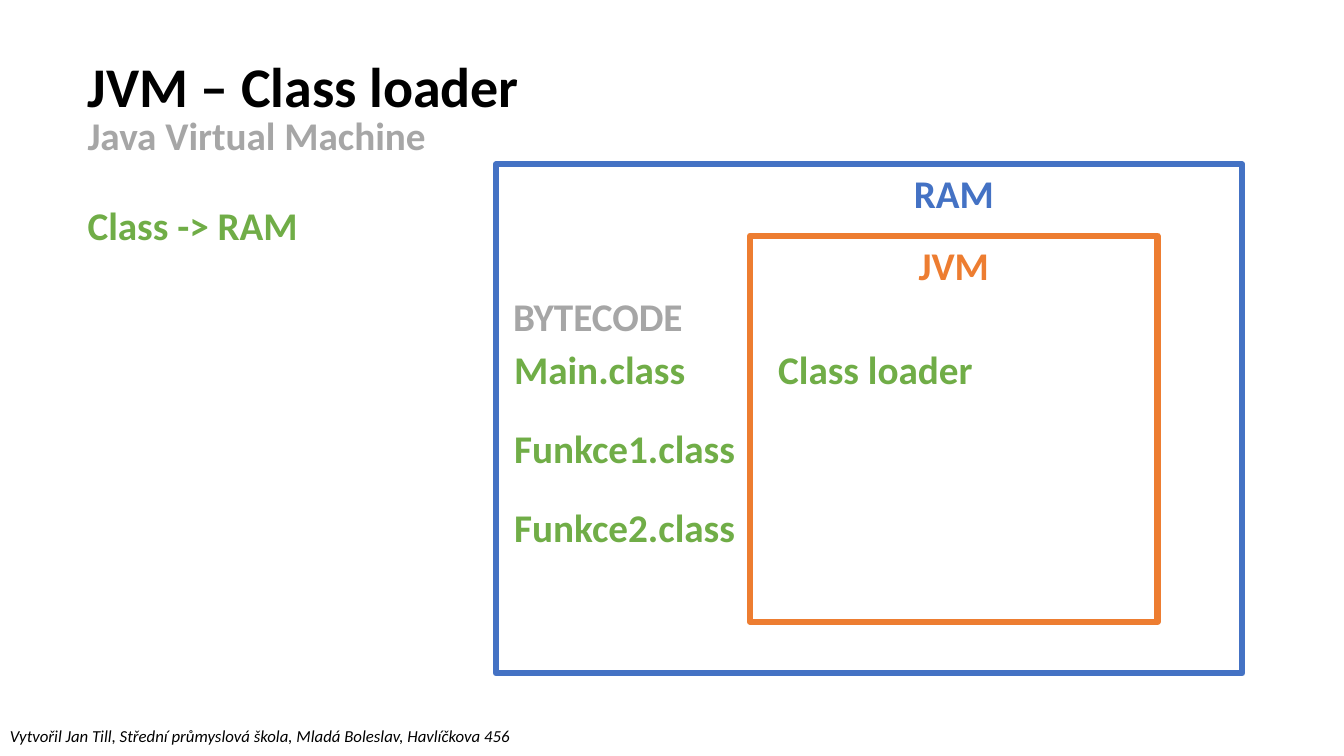
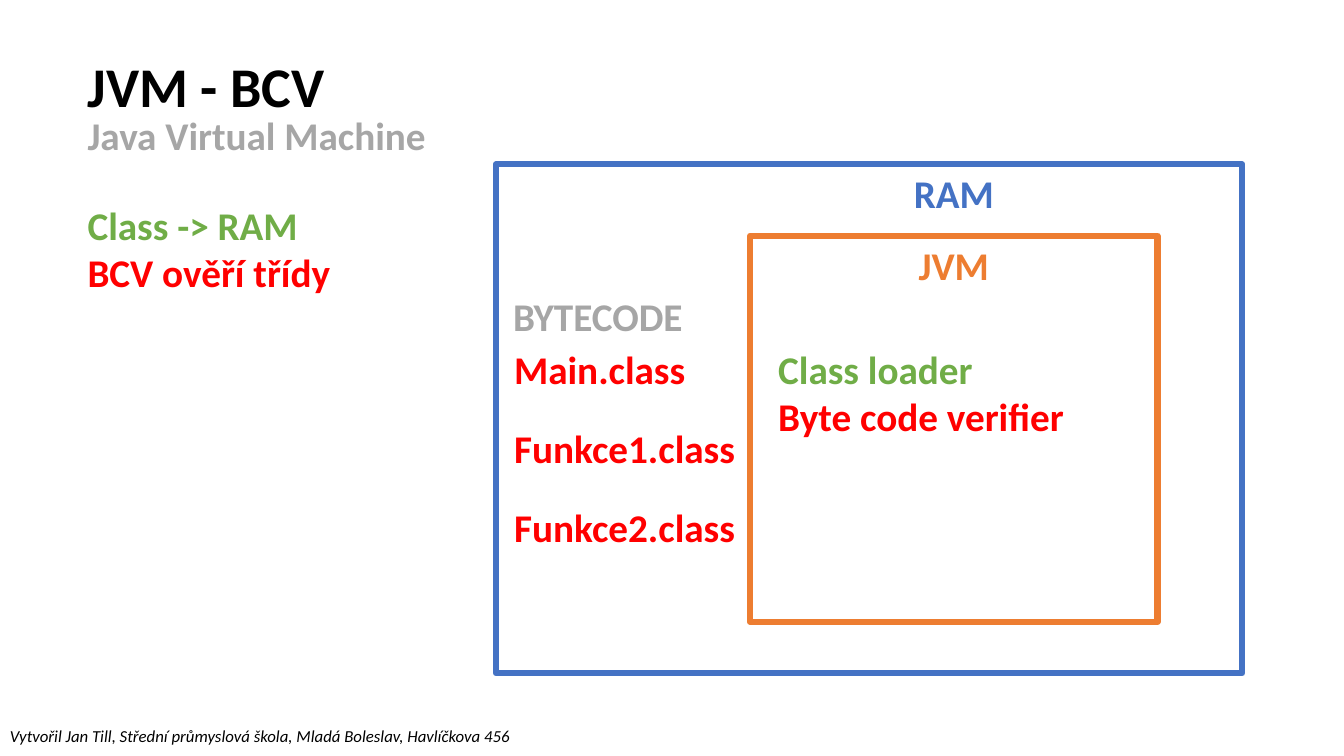
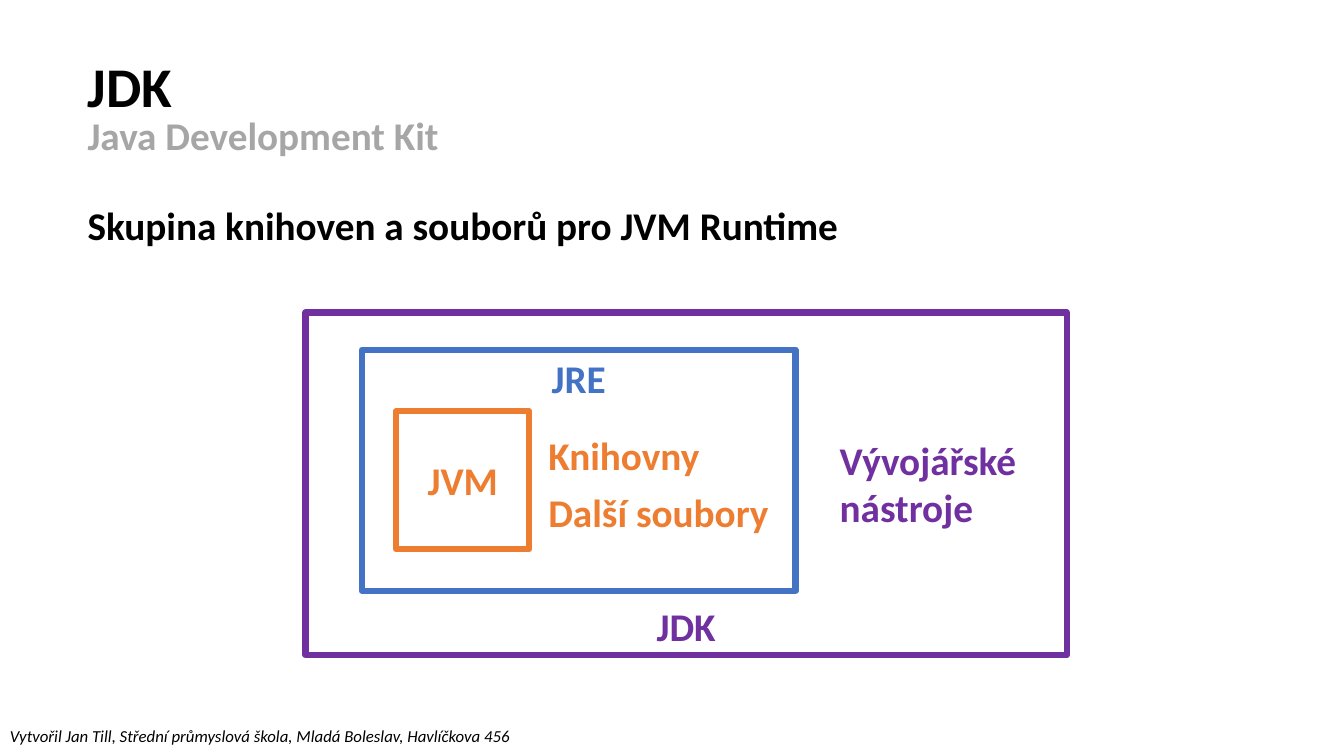
from dataclasses import dataclass

from pptx import Presentation
from pptx.dml.color import RGBColor
from pptx.enum.shapes import MSO_SHAPE
from pptx.enum.text import MSO_AUTO_SIZE, PP_ALIGN
from pptx.util import Inches, Pt


@dataclass(frozen=True)
class Theme:
    font: str = "Calibri"
    black: str = "000000"
    gray: str = "A6A6A6"
    green: str = "70AD47"
    red: str = "FF0000"
    orange: str = "ED7D31"
    blue: str = "4472C4"
    purple: str = "7030A0"
    title_size: int = 40
    body_size: int = 28
    footer_size: int = 12
    border: float = 4.5


THEME = Theme()
FOOTER = "Vytvořil Jan Till, Střední průmyslová škola, Mladá Boleslav, Havlíčkova 456"
CELL = 0.1  # inches per grid column and row
MARGIN = 7.7
LINE_HEIGHT = 5.7
CAPTION_WIDTH = 10


def grid(*cells):
    return [Inches(cell * CELL) for cell in cells]


def apply_format(target, values):
    for name, value in values.items():
        setattr(target, name, value)


class Deck:
    """Holds the presentation, the theme and the slide being filled."""

    def __init__(self, theme):
        self.theme = theme
        self.presentation = Presentation()
        size = {"slide_width": Inches(13.33), "slide_height": Inches(7.5)}
        apply_format(self.presentation, size)
        self.slide = None

    def new_slide(self, title, subtitle):
        theme = self.theme
        layout = self.presentation.slide_layouts[6]
        self.slide = self.presentation.slides.add_slide(layout)
        self.text([(title, theme.black)], MARGIN, 4.6, 45.3, size=theme.title_size)
        self.text([(subtitle, theme.gray)], MARGIN, 10.6, 38)
        self.text([(FOOTER, theme.black)], 0, 71.5, 53,
                  size=theme.footer_size, bold=False, italic=True)

    def text(self, lines, left, top, width, size=None, align=PP_ALIGN.LEFT,
             bold=True, italic=False):
        """Add one paragraph for each (text, colour) pair."""
        size = size or self.theme.body_size
        height = LINE_HEIGHT * len(lines) * size / self.theme.body_size
        box = self.slide.shapes.add_textbox(*grid(left, top, width, height))
        frame = box.text_frame
        apply_format(frame, {"word_wrap": True,
                             "auto_size": MSO_AUTO_SIZE.SHAPE_TO_FIT_TEXT})
        font_format = {"name": self.theme.font, "size": Pt(size),
                       "bold": bold, "italic": italic}
        for index, (words, color) in enumerate(lines):
            paragraph = frame.add_paragraph() if index else frame.paragraphs[0]
            paragraph.alignment = align
            run = paragraph.add_run()
            run.text = words
            apply_format(run.font, font_format)
            run.font.color.rgb = RGBColor.from_string(color)

    def frame(self, caption, color, left, top, width, height, drop=0, center=None):
        """Add an outlined box; drop places its caption from top (0) to bottom (1)."""
        shape = self.slide.shapes.add_shape(
            MSO_SHAPE.RECTANGLE, *grid(left, top, width, height))
        shape.shadow.inherit = False
        shape.fill.background()
        shape.line.color.rgb = RGBColor.from_string(color)
        shape.line.width = Pt(self.theme.border)
        center = center or left + width / 2
        self.text([(caption, color)], center - CAPTION_WIDTH / 2,
                  top + drop * (height - LINE_HEIGHT), CAPTION_WIDTH,
                  align=PP_ALIGN.CENTER)

    def memory_slide(self, title, steps, parts, class_color):
        """Show the classes in RAM beside the parts of the JVM."""
        theme = self.theme
        self.new_slide(title, "Java Virtual Machine")
        self.text(steps, MARGIN, 19.5, 34.8)
        self.frame("RAM", theme.blue, 49.2, 16.3, 74, 50.5, center=94.6)
        self.frame("JVM", theme.orange, 74.4, 23.4, 40.4, 38.3)
        self.text([("BYTECODE", theme.gray)], 49.9, 28.5, 22)
        for row, name in enumerate(("Main", "Funkce1", "Funkce2")):
            self.text([(f"{name}.class", class_color)], 50, 33.8 + 7.8 * row, 34.8)
        self.text(parts, 76.2, 33.8, 34)

    def kit_slide(self):
        theme = self.theme
        self.new_slide("JDK", "Java Development Kit")
        self.text([("Skupina knihoven a souborů pro JVM Runtime", theme.black)],
                  MARGIN, 19.5, 82.7)
        self.frame("JDK", theme.purple, 30.3, 31, 75.5, 34, drop=1)
        self.frame("JRE", theme.blue, 35.9, 34.7, 43, 23.9)
        self.frame("JVM", theme.orange, 39.3, 40.8, 13.2, 13.7, drop=0.5)
        for row, part in enumerate(("Knihovny", "Další soubory")):
            self.text([(part, theme.orange)], 53.4, 42.3 + LINE_HEIGHT * row, 25)
        self.text([("Vývojářské nástroje", theme.purple)], 82.3, 42.8, 24)


def main():
    deck = Deck(THEME)
    steps = [("Class -> RAM", THEME.green), ("BCV ověří třídy", THEME.red)]
    parts = [("Class loader", THEME.green), ("Byte code verifier", THEME.red)]
    deck.memory_slide("JVM – Class loader", steps[:1], parts[:1], THEME.green)
    deck.memory_slide("JVM - BCV", steps, parts, THEME.red)
    deck.kit_slide()
    deck.presentation.save("out.pptx")


if __name__ == "__main__":
    main()
